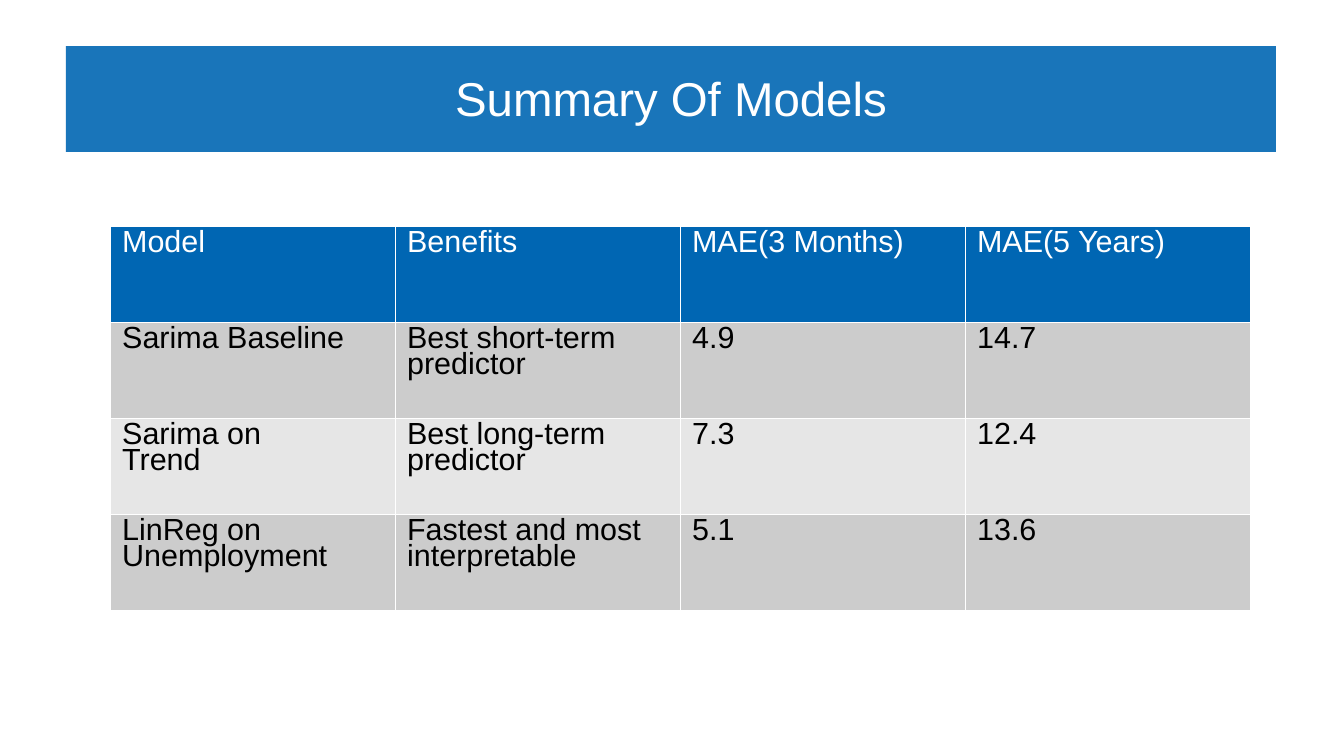
from dataclasses import dataclass

from lxml import etree
from pptx import Presentation
from pptx.dml.color import RGBColor
from pptx.enum.shapes import MSO_SHAPE
from pptx.enum.text import MSO_ANCHOR, PP_ALIGN
from pptx.oxml.ns import qn
from pptx.slide import Slide
from pptx.table import _Cell
from pptx.text.text import TextFrame
from pptx.util import Emu, Pt

RECT = MSO_SHAPE.RECTANGLE
MIDDLE = MSO_ANCHOR.MIDDLE
CENTER = PP_ALIGN.CENTER
LEFT = PP_ALIGN.LEFT

BLUE = RGBColor(0x00, 0x66, 0xB3)
DARK_GRAY = RGBColor(0xCC, 0xCC, 0xCC)
LIGHT_GRAY = RGBColor(0xE6, 0xE6, 0xE6)
WHITE = RGBColor(0xFF, 0xFF, 0xFF)
BLACK = RGBColor(0x00, 0x00, 0x00)

FONT = "Arial"
PX_PER_INCH = 122
COL_WIDTH = 285
ROW_HEIGHT = 96
BORDER = Pt(0.06)


@dataclass(frozen=True)
class TableRow:
    texts: tuple[str, ...]
    fill: RGBColor
    color: RGBColor = BLACK


ROWS = (
    TableRow(("Model", "Benefits", "MAE(3 Months)", "MAE(5 Years)"), BLUE, WHITE),
    TableRow(("Sarima Baseline", "Best short-term predictor", "4.9", "14.7"), DARK_GRAY),
    TableRow(("Sarima on\vTrend", "Best long-term predictor", "7.3", "12.4"), LIGHT_GRAY),
    TableRow(("LinReg on Unemployment", "Fastest and most interpretable", "5.1", "13.6"), DARK_GRAY),
)


def px(n: int) -> Emu:
    return Emu(round(n * 914400 / PX_PER_INCH))


def set_text(tf: TextFrame, text: str, size: int, color: RGBColor,
             align: PP_ALIGN, spacing: float) -> None:
    p = tf.paragraphs[0]
    p.text = text
    p.alignment = align
    p.line_spacing = spacing
    for r in p.runs:
        r.font.name = FONT
        r.font.size = Pt(size)
        r.font.color.rgb = color


def add_title(s: Slide) -> None:
    sp = s.shapes.add_shape(RECT, px(66), px(46), px(1210), px(106))
    sp.shadow.inherit = False
    sp.line.fill.background()
    sp.fill.solid()
    sp.fill.fore_color.rgb = BLUE
    color = sp.fill._xPr.find(qn("a:solidFill"))[0]
    etree.SubElement(color, qn("a:alpha"), val="90000")
    tf = sp.text_frame
    tf.word_wrap = True
    tf.vertical_anchor = MIDDLE
    tf.margin_left = tf.margin_right = tf.margin_bottom = 0
    tf.margin_top = px(4)
    set_text(tf, "Summary Of Models", 28, WHITE, CENTER, 0.93)


def set_borders(cell: _Cell) -> None:
    tc_pr = cell._tc.get_or_add_tcPr()
    for side in ("lnL", "lnR", "lnT", "lnB"):
        ln = etree.SubElement(tc_pr, qn(f"a:{side}"), w=str(BORDER))
        fill = etree.SubElement(ln, qn("a:solidFill"))
        etree.SubElement(fill, qn("a:srgbClr"), val=str(WHITE))


def add_model_table(s: Slide) -> None:
    n_rows, n_cols = len(ROWS), len(ROWS[0].texts)
    table = s.shapes.add_table(n_rows, n_cols, px(110), px(226),
                               px(COL_WIDTH * n_cols), px(ROW_HEIGHT * n_rows)).table
    for col in table.columns:
        col.width = px(COL_WIDTH)
    table.first_row = table.horz_banding = False
    for table_row, row in zip(table.rows, ROWS):
        table_row.height = px(ROW_HEIGHT)
        for cell, text in zip(table_row.cells, row.texts):
            set_borders(cell)
            cell.fill.solid()
            cell.fill.fore_color.rgb = row.fill
            set_text(cell.text_frame, text, 18, row.color, LEFT, 0.76)


def main() -> None:
    prs = Presentation()
    prs.slide_width, prs.slide_height = px(1344), px(756)
    s = prs.slides.add_slide(prs.slide_layouts[6])
    add_title(s)
    add_model_table(s)
    prs.save("out.pptx")


if __name__ == "__main__":
    main()
